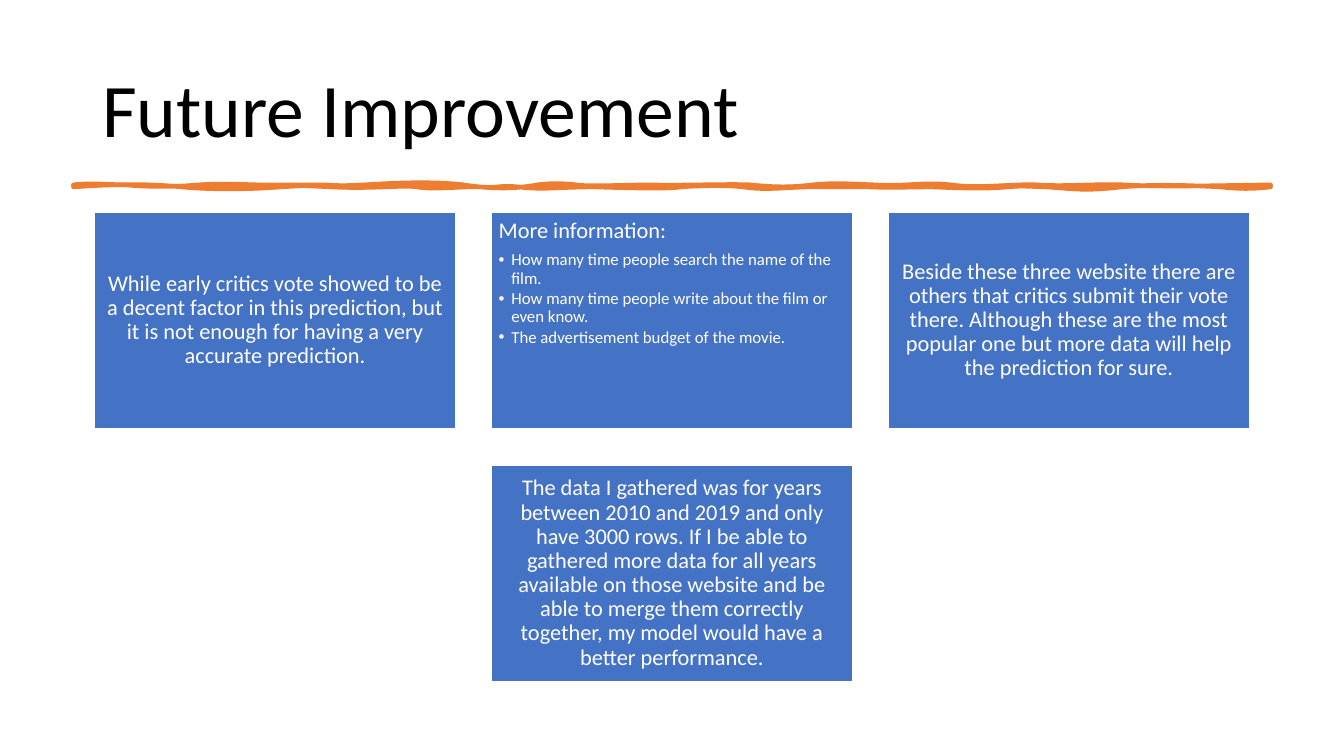
from dataclasses import dataclass

from lxml import etree
from pptx import Presentation
from pptx.dml.color import RGBColor
from pptx.enum.shapes import MSO_SHAPE
from pptx.enum.text import MSO_ANCHOR, PP_ALIGN
from pptx.oxml.ns import qn
from pptx.shapes.base import BaseShape
from pptx.slide import Slide
from pptx.text.text import TextFrame
from pptx.util import Emu, Pt

RECTANGLE = MSO_SHAPE.RECTANGLE
TOP, MIDDLE = MSO_ANCHOR.TOP, MSO_ANCHOR.MIDDLE
LEFT, CENTER = PP_ALIGN.LEFT, PP_ALIGN.CENTER

EMU_PER_PX = 9525
FONT, BULLET_FONT = "Calibri", "Arial"
COLORS = {"title": "000000", "brush": "ED7D31", "card": "4472C4", "card_text": "FFFFFF"}

CARD_LEFT, CARD_TOP = 90, 202
CARD_WIDTH, CARD_HEIGHT = 344, 206
COLUMN_STEP, ROW_STEP = 378, 241
CARD_INSET, BULLET_INDENT = 7, 12

BRUSH_LEFT, BRUSH_RIGHT, BRUSH_UPPER, BRUSH_LOWER = 70, 1210, 176, 178
# Each curve: control x, control drop, control x, control drop, end x
UPPER_EDGE = [
    (85, -2, 107, 0, 119), (131, 1, 156, 3, 190), (225, -2, 241, 1, 273),
    (304, 0, 295, 0, 309), (324, 1, 328, 1, 347), (365, -1, 407, -4, 441),
    (474, 5, 496, 3, 512), (527, -2, 540, -1, 549), (558, 2, 600, 0, 620),
    (640, 1, 694, -1, 714), (734, 2, 751, 3, 774), (797, -2, 804, -1, 833),
    (863, 2, 878, -3, 905), (933, 4, 962, -1, 988), (1013, 2, 1039, -1, 1070),
    (1105, 2, 1151, 1, BRUSH_RIGHT),
]
LOWER_EDGE = [
    (1192, 2, 1181, 2, 1162), (1142, -1, 1103, -3, 1068), (1032, 4, 1027, 2, 996),
    (965, -1, 977, -1, 959), (941, 2, 910, 1, 888), (866, 0, 849, 1, 828),
    (807, 0, 795, 0, 768), (742, 1, 727, 3, 708), (690, -2, 660, -1, 649),
    (636, 2, 599, 1, 566), (533, 0, 516, 3, 494), (474, -2, 471, 2, 458),
    (444, -1, 413, 3, 397), (383, -2, 356, 2, 315), (275, -2, 291, -1, 267),
    (243, 2, 204, 3, 173), (141, -3, 113, -3, BRUSH_LEFT),
]
RIGHT_END = (BRUSH_RIGHT, 0, BRUSH_RIGHT, 0, BRUSH_RIGHT)


@dataclass(frozen=True)
class Card:
    column: int
    row: int
    text: str
    bullets: tuple[str, ...] = ()


CARDS = [
    Card(0, 0, "While early critics vote showed to be a decent factor in this prediction, "
               "but it is not enough for having a very accurate prediction."),
    Card(1, 0, "More information:", (
        "How many time people search the name of the film.",
        "How many time people write about the film or even know.",
        "The advertisement budget of the movie.",
    )),
    Card(2, 0, "Beside these three website there are others that critics submit their vote "
               "there. Although these are the most popular one but more data will help the "
               "prediction for sure."),
    Card(1, 1, "The data I gathered was for years between 2010 and 2019 and only have 3000 "
               "rows. If I be able to gathered more data for all years available on those "
               "website and be able to merge them correctly together, my model would have a "
               "better performance."),
]


def px(length: int) -> Emu:
    return Emu(length * EMU_PER_PX)


def rgb(part: str) -> RGBColor:
    return RGBColor.from_string(COLORS[part])


def paint(shape: BaseShape, fill: str, line: str, line_width: float) -> None:
    shape.shadow.inherit = False
    shape.fill.solid()
    shape.fill.fore_color.rgb = rgb(fill)
    shape.line.color.rgb = rgb(line)
    shape.line.width = Pt(line_width)


def write_paragraph(frame: TextFrame, text: str, color: str, size: int,
                    align: PP_ALIGN = LEFT, space_after: float = 0,
                    bulleted: bool = False) -> None:
    """Fill the empty first paragraph, or append one after the existing text."""
    paragraph = frame.add_paragraph() if frame.text else frame.paragraphs[0]
    paragraph.add_run().text = text
    spacing = {"alignment": align, "line_spacing": 0.9,
               "space_before": Pt(0), "space_after": Pt(space_after)}
    for name, value in spacing.items():
        setattr(paragraph, name, value)
    font = paragraph.runs[0].font
    font.name, font.size = FONT, Pt(size)
    font.color.rgb = rgb(color)
    if bulleted:
        paragraph.level = 1
        properties = paragraph._p.get_or_add_pPr()
        properties.set("marL", str(px(BULLET_INDENT)))
        properties.set("indent", str(px(-BULLET_INDENT)))
        etree.SubElement(properties, qn("a:buFont"), typeface=BULLET_FONT)
        etree.SubElement(properties, qn("a:buChar"), char="•")


def add_title(slide: Slide, text: str) -> None:
    frame = slide.shapes.add_textbox(px(88), px(38), px(1104), px(139)).text_frame
    frame.word_wrap = True
    frame.vertical_anchor = MIDDLE
    write_paragraph(frame, text, "title", 54)


def add_brush_stroke(slide: Slide) -> None:
    """Join the curve ends with segments, then bend each segment by its controls."""
    curves = ([(BRUSH_UPPER, curve) for curve in UPPER_EDGE]
              + [(BRUSH_LOWER, curve) for curve in [RIGHT_END, *LOWER_EDGE]])
    builder = slide.shapes.build_freeform(BRUSH_LEFT, BRUSH_UPPER, scale=EMU_PER_PX)
    builder.add_line_segments([(curve[-1], baseline) for baseline, curve in curves])
    stroke = builder.convert_to_shape()
    segments = list(stroke._element.iter(qn("a:lnTo")))
    for segment, (baseline, (x1, drop1, x2, drop2, _)) in zip(segments, curves):
        segment.tag = qn("a:cubicBezTo")
        for place, (x, drop) in enumerate(((x1, drop1), (x2, drop2))):
            control = etree.Element(qn("a:pt"), x=str(x - BRUSH_LEFT),
                                    y=str(baseline + drop - BRUSH_UPPER))
            segment.insert(place, control)
    paint(stroke, "brush", "brush", 3.25)


def add_card(slide: Slide, card: Card) -> None:
    box = slide.shapes.add_shape(
        RECTANGLE,
        px(CARD_LEFT + card.column * COLUMN_STEP), px(CARD_TOP + card.row * ROW_STEP),
        px(CARD_WIDTH), px(CARD_HEIGHT))
    paint(box, "card", "card_text", 1)
    frame = box.text_frame
    layout = {"word_wrap": True, "vertical_anchor": TOP if card.bullets else MIDDLE}
    layout |= {f"margin_{side}": px(CARD_INSET) for side in ("left", "top", "right", "bottom")}
    for name, value in layout.items():
        setattr(frame, name, value)
    write_paragraph(frame, card.text, "card_text", 16,
                    LEFT if card.bullets else CENTER, 5.6)
    for bullet in card.bullets:
        write_paragraph(frame, bullet, "card_text", 12, space_after=1.8, bulleted=True)


def main() -> None:
    presentation = Presentation()
    presentation.slide_width, presentation.slide_height = px(1280), px(720)
    slide = presentation.slides.add_slide(presentation.slide_layouts[6])
    add_title(slide, "Future Improvement")
    add_brush_stroke(slide)
    for card in CARDS:
        add_card(slide, card)
    presentation.save("out.pptx")


if __name__ == "__main__":
    main()
